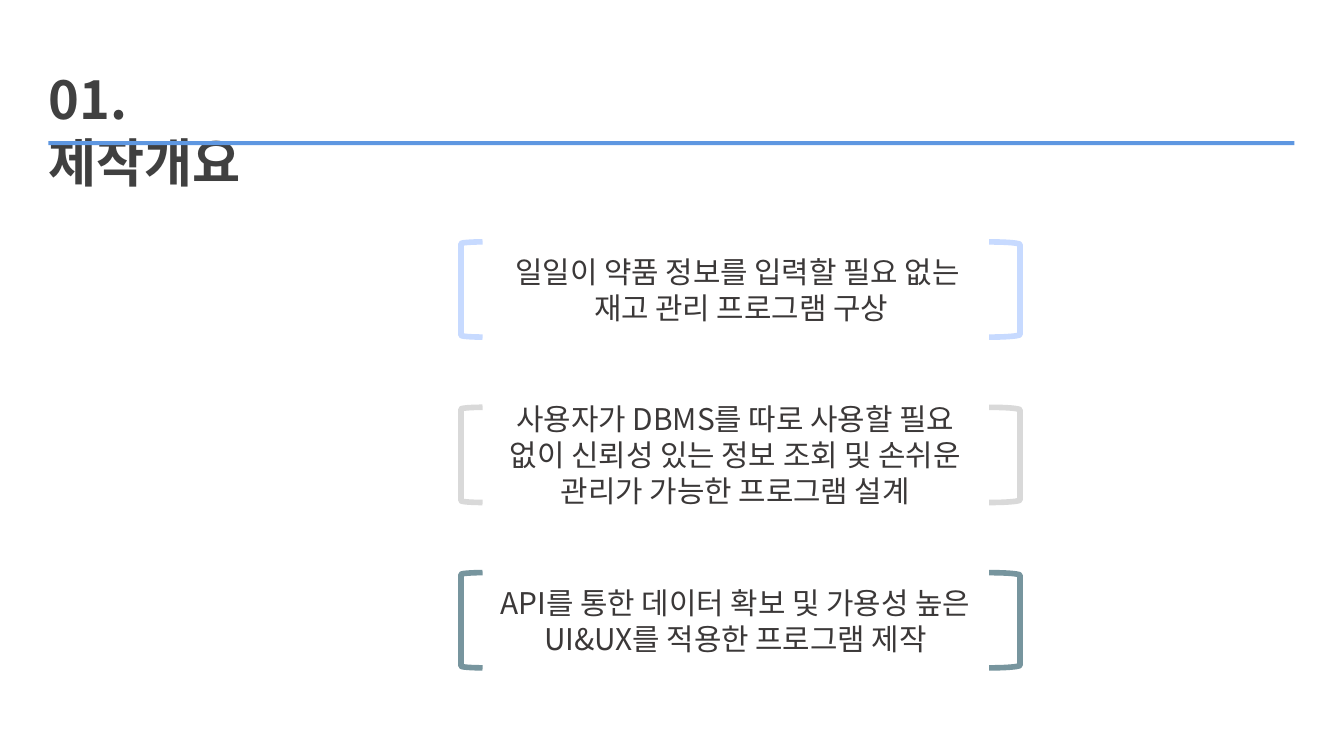
from lxml import etree
from pptx import Presentation
from pptx.dml.color import RGBColor
from pptx.enum import shapes, text
from pptx.oxml import ns
from pptx.util import Pt

FONT = "Noto Sans CJK KR"
TITLE_COLOR = RGBColor(0x40, 0x40, 0x40)
BODY_COLOR = RGBColor(0x3B, 0x38, 0x38)
RULE_COLOR = RGBColor(0x5E, 0x97, 0xE1)
PALE_BLUE = RGBColor(0xC7, 0xDA, 0xFF)
PALE_GRAY = RGBColor(0xD9, 0xD9, 0xD9)
TEAL = RGBColor(0x77, 0x95, 0x9E)
LINE_FACTOR = 1.207

# Bracket colour, text width, lines split by forced breaks, number of shown lines
GOALS = [
    (PALE_BLUE, 278, ["일일이 약품 정보를 입력할 필요 없는 ", "재고 관리 프로그램 구상"], 2),
    (PALE_GRAY, 272, ["사용자가 DBMS를 따로 사용할 필요 없이 신뢰성 있는 정보 조회 및 "
                      "손쉬운 관리가 가능한 프로그램 설계"], 3),
    (TEAL, 272, ["API를 통한 데이터 확보 및 가용성 높은 UI&UX를 적용한 프로그램 제작"], 2),
]


def add_span(para, words, size, color, bold=False):
    span = para.add_run()
    span.text = words
    span.font.size = Pt(size)
    span.font.bold = bold
    span.font.name = FONT
    span.font.color.rgb = color
    east_asian = etree.SubElement(span.font._element, ns.qn("a:ea"))
    east_asian.set("typeface", FONT)


def add_heading(page, left, top, width, height):
    # Title, wrapped after its number by the right inset
    title = page.shapes.title
    title.left, title.top = Pt(left), Pt(top)
    title.width, title.height = Pt(152), Pt(height)
    frame = title.text_frame
    frame.word_wrap = True
    frame.auto_size = text.MSO_AUTO_SIZE.NONE
    frame.vertical_anchor = text.MSO_ANCHOR.TOP
    frame.margin_left, frame.margin_right = Pt(0), Pt(30)
    frame.margin_top = frame.margin_bottom = Pt(3.6)
    para = frame.paragraphs[0]
    para.alignment = text.PP_ALIGN.LEFT
    para.line_spacing = Pt(28 * LINE_FACTOR)
    add_span(para, "01. 제작개요", 28, TITLE_COLOR, bold=True)

    # Rule
    rule = page.shapes.add_shape(shapes.MSO_SHAPE.RECTANGLE,
                                 Pt(left), Pt(75.6), Pt(width), Pt(2.2))
    rule.shadow.inherit = False
    rule.fill.solid()
    rule.fill.fore_color.rgb = RULE_COLOR
    rule.line.fill.background()


def add_bracket(group, left, top, width, height, color, flipped):
    bracket = group.shapes.add_shape(shapes.MSO_SHAPE.LEFT_BRACKET,
                                     Pt(left), Pt(top), Pt(width), Pt(height))
    bracket.shadow.inherit = False
    bracket.fill.background()
    bracket.line.color.rgb = color
    bracket.line.width = Pt(3)
    if flipped:
        bracket._element.spPr.xfrm.set("flipH", "1")


def add_goal(page, left, top, width, height, goal):
    color, text_width, parts, line_count = goal
    group = page.shapes.add_group_shape()

    # Bracket pair
    add_bracket(group, left, top, 11.5, height, color, False)
    add_bracket(group, left + width - 16.5, top, 16.5, height, color, True)

    # Text centred on the brackets
    text_height = line_count * 16 * LINE_FACTOR + 7.2
    box = group.shapes.add_textbox(Pt(left + 11), Pt(top + (height - text_height) / 2),
                                   Pt(text_width), Pt(text_height))
    frame = box.text_frame
    frame.word_wrap = True
    para = frame.paragraphs[0]
    para.alignment = text.PP_ALIGN.CENTER
    para.line_spacing = Pt(16 * LINE_FACTOR)
    for index, words in enumerate(parts):
        if index:
            para.add_line_break()
        add_span(para, words, 16, BODY_COLOR)


def main():
    deck = Presentation()
    deck.slide_width, deck.slide_height = Pt(720), Pt(405)
    page = deck.slides.add_slide(deck.slide_layouts[5])
    add_heading(page, 26, 32.4, 667.5, 41)
    for row, goal in enumerate(GOALS):
        add_goal(page, 247, 129.6 + row * 88.6, 299.5, 51, goal)
    deck.save("out.pptx")


if __name__ == "__main__":
    main()
